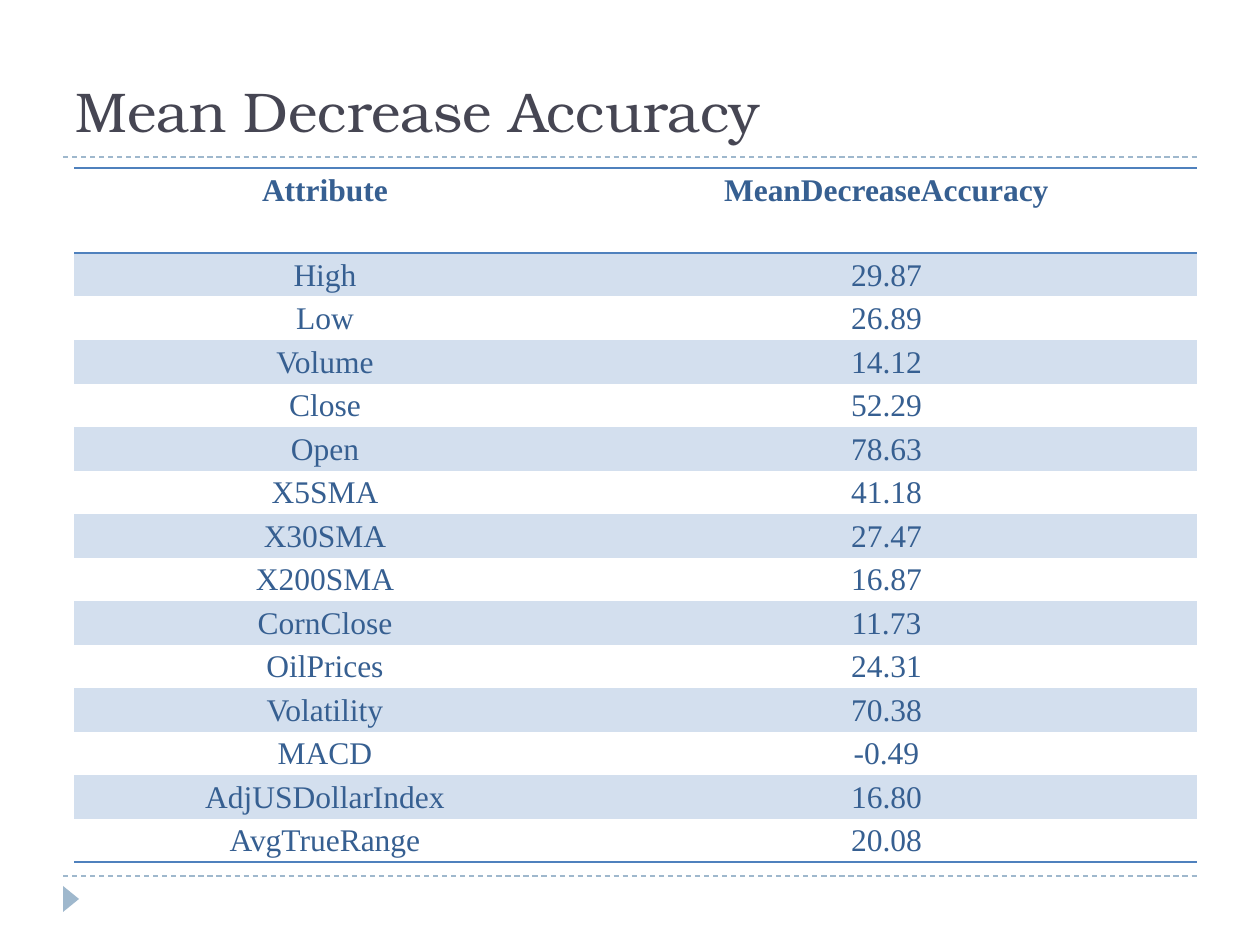
from lxml.etree import SubElement as Sub
from pptx import Presentation
from pptx.dml.color import RGBColor as RGB
from pptx.enum.dml import MSO_LINE as Dash
from pptx.enum.shapes import MSO_CONNECTOR as Conn, MSO_SHAPE as Shape
from pptx.enum.text import MSO_ANCHOR as Anchor, PP_ALIGN as Align
from pptx.oxml.ns import qn
from pptx.util import Emu, Pt

SLATE = RGB(0x46, 0x46, 0x53)
MIST = RGB(0x9F, 0xB8, 0xCD)
NAVY = RGB(0x36, 0x5F, 0x91)
BLUE = RGB(0x4F, 0x81, 0xBD)
BAND = RGB(0xD3, 0xDF, 0xEE)

ROWS = [
    ("Attribute", "MeanDecreaseAccuracy"),
    ("High", "29.87"),
    ("Low", "26.89"),
    ("Volume", "14.12"),
    ("Close", "52.29"),
    ("Open", "78.63"),
    ("X5SMA", "41.18"),
    ("X30SMA", "27.47"),
    ("X200SMA", "16.87"),
    ("CornClose", "11.73"),
    ("OilPrices", "24.31"),
    ("Volatility", "70.38"),
    ("MACD", "-0.49"),
    ("AdjUSDollarIndex", "16.80"),
    ("AvgTrueRange", "20.08"),
]


def px(num):
    return Emu(round(num * 914400 / 126))


class Deck:
    head_font = "TeX Gyre Bonum"
    body_font = "Times New Roman"

    def __init__(self, wide, high):
        self.prs = Presentation()
        self.prs.slide_width, self.prs.slide_height = px(wide), px(high)
        self.slide = self.prs.slides.add_slide(self.prs.slide_layouts[6])
        self.shapes = self.slide.shapes

    def run(self, para, text, font, size, color, bold=False):
        run = para.add_run()
        run.text = text
        run.font.name, run.font.size, run.font.bold = font, Pt(size), bold
        run.font.color.rgb = color

    def rule(self, left, right, y):
        line = self.shapes.add_connector(
            Conn.STRAIGHT, px(left), px(y), px(right), px(y))
        line.line.color.rgb = MIST
        line.line.width = Pt(0.75)
        line.line.dash_style = Dash.DASH
        Sub(line.element.spPr, qn("a:effectLst"))

    def arrow(self, *box):
        mark = self.shapes.add_shape(Shape.ISOSCELES_TRIANGLE, *map(px, box))
        mark.rotation = 90
        mark.shadow.inherit = False
        mark.fill.solid()
        mark.fill.fore_color.rgb = MIST
        mark.line.fill.background()

    def title(self, text, *box):
        frame = self.shapes.add_textbox(*map(px, box)).text_frame
        frame.word_wrap = True
        frame.vertical_anchor = Anchor.BOTTOM
        frame.margin_left = frame.margin_right = px(13)
        frame.margin_top = frame.margin_bottom = px(13)
        self.run(frame.paragraphs[0], text, self.head_font, 32, SLATE)

    def edges(self, cell, shown):
        """Draw the sides named in shown and clear the others."""
        props = cell._tc.get_or_add_tcPr()
        for side in "LRTB":
            line = Sub(props, qn(f"a:ln{side}"), w=str(Pt(1)))
            if side in shown:
                fill = Sub(line, qn("a:solidFill"))
                Sub(fill, qn("a:srgbClr"), val=str(BLUE))
            else:
                Sub(line, qn("a:noFill"))

    def cell(self, cell, text, row, last):
        cell.margin_left = cell.margin_right = px(9)
        cell.margin_top = cell.margin_bottom = 0
        self.edges(cell, {0: "TB", 1: "T", last: "B"}.get(row, ""))
        if row % 2:
            cell.fill.solid()
            cell.fill.fore_color.rgb = BAND
        else:
            cell.fill.background()
        para = cell.text_frame.paragraphs[0]
        para.alignment = Align.CENTER
        para.line_spacing = 1.15
        self.run(para, text, self.body_font, 18, NAVY, bold=row == 0)

    def table(self, rows, left, top, cols, head, body):
        """Place a header of height head over rows that share body evenly."""
        last = len(rows) - 1
        grid = self.shapes.add_table(
            len(rows), len(cols), px(left), px(top),
            px(sum(cols)), px(head + body)).table
        grid.first_row = grid.horz_banding = False
        for col, wide in zip(grid.columns, cols):
            col.width = px(wide)
        for i, texts in enumerate(rows):
            grid.rows[i].height = px(body / last if i else head)
            for j, text in enumerate(texts):
                self.cell(grid.cell(i, j), text, i, last)


def main():
    deck = Deck(1260, 945)
    for y in (876, 157):
        deck.rule(63, 1197, y)
    deck.arrow(58, 891, 26, 16)
    deck.title("Mean Decrease Accuracy", 63, 21, 1134, 136)
    deck.table(ROWS, 74, 168, (502, 621), 85, 597)
    deck.prs.save("out.pptx")


if __name__ == "__main__":
    main()
